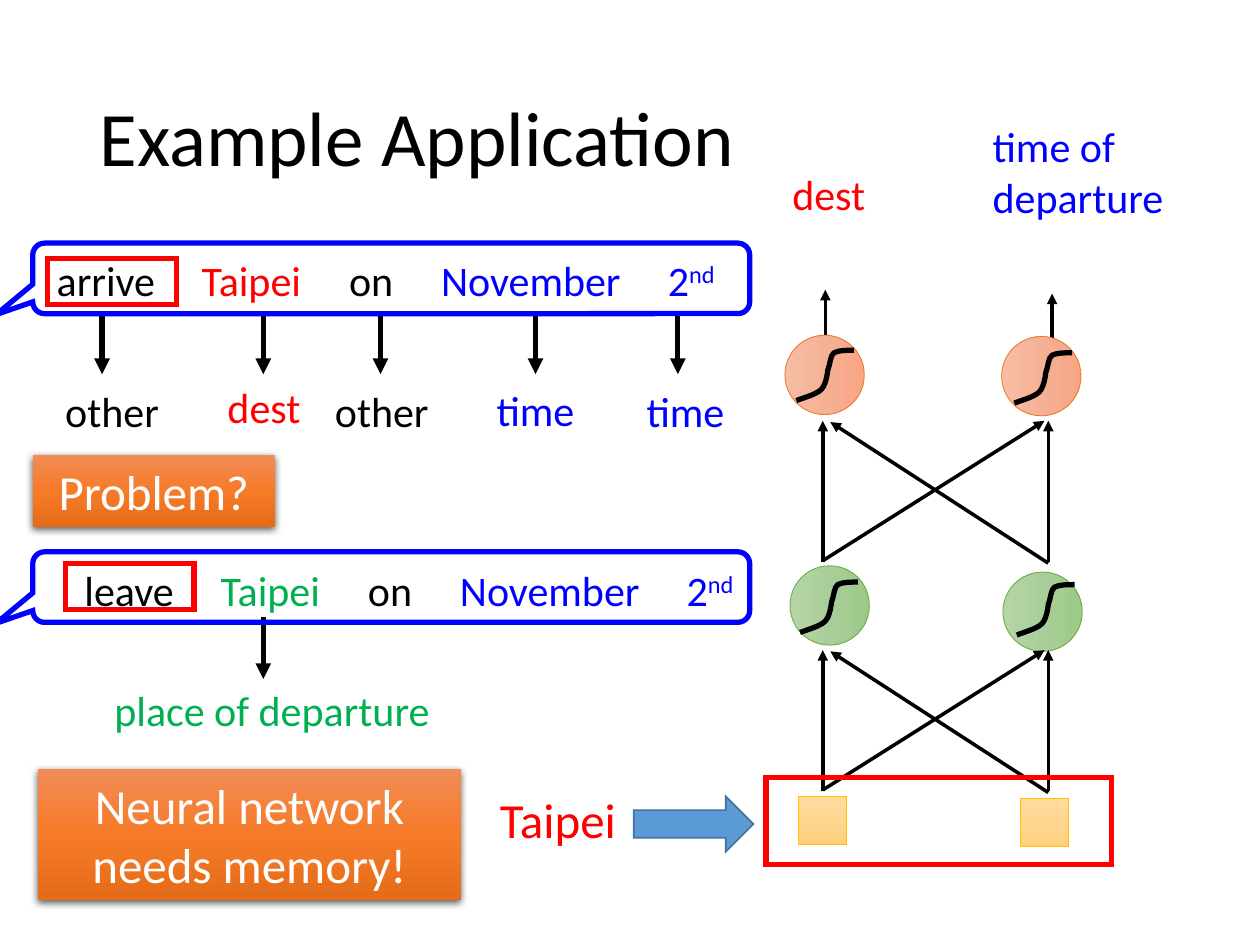
from lxml.etree import SubElement
from pptx import Presentation
from pptx.dml.color import RGBColor
from pptx.enum.shapes import MSO_CONNECTOR, MSO_SHAPE
from pptx.enum.text import MSO_ANCHOR, MSO_AUTO_SIZE, PP_ALIGN
from pptx.oxml.ns import qn
from pptx.util import Inches, Pt

COLORS = {"black": "000000", "white": "FFFFFF", "red": "FF0000", "blue": "0000FF",
          "green": "00B050", "arrow": "5B9BD5", "arrow_edge": "43739E",
          "input_edge": "FFC000", "hidden_edge": "70AD47", "output_edge": "ED7D31"}
GRADIENTS = {"input": ("FFDB9E", "FFD590", "FFD07C"),
             "hidden": ("B5D5A7", "AACE9A", "9CC987"),
             "output": ("F7BDA5", "F5B196", "F8A582"),
             "banner": ("F18C57", "F67B28", "E56C19")}
FONT = "Calibri"
# Control points of the sigmoid, three to a cubic segment, in inches from its corner
SIGMOID_START = (0, 0.4)
SIGMOID = [(0.08, 0.37), (0.16, 0.35), (0.2, 0.31),
           (0.24, 0.27), (0.25, 0.16), (0.25, 0.16),
           (0.27, 0.11), (0.27, 0.04), (0.3, 0.02),
           (0.34, 0), (0.4, 0), (0.46, 0)]


def rgb(name):
    return RGBColor.from_string(COLORS[name])


class SlidePainter:
    def __init__(self, slide):
        self.slide = slide
        self.shapes = slide.shapes

    def style(self, span, color, size):
        span.font.name = FONT
        span.font.size = Pt(size)
        span.font.color.rgb = rgb(color)

    def title(self, text, left, top, width, height):
        box = self.shapes.title
        box.left, box.top = Inches(left), Inches(top)
        box.width, box.height = Inches(width), Inches(height)
        frame = box.text_frame
        frame.text = text
        frame.vertical_anchor = MSO_ANCHOR.MIDDLE
        para = frame.paragraphs[0]
        para.alignment = PP_ALIGN.LEFT
        para.line_spacing = 0.9
        self.style(para.runs[0], "black", 44)

    def text(self, text, left, top, width, height, color, size=24,
             align=PP_ALIGN.LEFT, wrap=True):
        box = self.shapes.add_textbox(Inches(left), Inches(top), Inches(width), Inches(height))
        frame = box.text_frame
        frame.word_wrap = wrap
        frame.auto_size = MSO_AUTO_SIZE.SHAPE_TO_FIT_TEXT
        frame.text = text
        para = frame.paragraphs[0]
        para.alignment = align
        self.style(para.runs[0], color, size)

    def sentence(self, words, stops, left, top, width, height):
        box = self.shapes.add_textbox(Inches(left), Inches(top), Inches(width), Inches(height))
        frame = box.text_frame
        frame.word_wrap = True
        frame.auto_size = MSO_AUTO_SIZE.SHAPE_TO_FIT_TEXT
        frame.margin_left = Inches(0.6)
        para = frame.paragraphs[0]
        tabs = SubElement(para._p.get_or_add_pPr(), qn("a:tabLst"))
        for stop in stops:
            SubElement(tabs, qn("a:tab"), pos=str(Inches(stop)), algn="l")
        for word, color in words:
            span = para.add_run()
            span.text = word
            self.style(span, color, 24)
        span.font._element.set("baseline", "30000")

    def shape(self, kind, left, top, width, height, line=None, weight=3,
              fill=None, gradient=None):
        shape = self.shapes.add_shape(kind, Inches(left), Inches(top),
                                      Inches(width), Inches(height))
        shape.shadow.inherit = False
        if gradient:
            self.gradient(shape, GRADIENTS[gradient])
        elif fill:
            shape.fill.solid()
            shape.fill.fore_color.rgb = rgb(fill)
        else:
            shape.fill.background()
        if line:
            shape.line.color.rgb = rgb(line)
            shape.line.width = Pt(weight)
            SubElement(shape.line._get_or_add_ln(), qn("a:miter"), lim="800000")
        else:
            shape.line.fill.background()
        return shape

    def gradient(self, shape, hexes):
        shape.fill.gradient()
        shape.fill.gradient_angle = 270
        stops = shape._element.spPr.find(qn("a:gradFill")).find(qn("a:gsLst"))
        for stop in list(stops):
            stops.remove(stop)
        for place, color in zip((0, 50000, 100000), hexes):
            stop = SubElement(stops, qn("a:gs"), pos=str(place))
            SubElement(stop, qn("a:srgbClr"), val=color)

    def banner(self, text, left, top, width, height):
        shape = self.shape(MSO_SHAPE.RECTANGLE, left, top, width, height, gradient="banner")
        effects = shape._element.spPr.find(qn("a:effectLst"))
        shadow = SubElement(effects, qn("a:outerShdw"), blurRad=str(Pt(4.5)),
                            dist=str(Pt(1.5)), dir="5400000", rotWithShape="0")
        color = SubElement(shadow, qn("a:srgbClr"), val=COLORS["black"])
        SubElement(color, qn("a:alpha"), val="63000")
        frame = shape.text_frame
        frame.word_wrap = True
        frame.text = text
        frame.paragraphs[0].alignment = PP_ALIGN.CENTER
        self.style(frame.paragraphs[0].runs[0], "white", 28)

    def arrow(self, x1, y1, x2, y2, weight=2):
        line = self.shapes.add_connector(MSO_CONNECTOR.STRAIGHT, Inches(x1), Inches(y1),
                                         Inches(x2), Inches(y2))
        line.line.color.rgb = rgb("black")
        line.line.width = Pt(weight)
        SubElement(line.line._get_or_add_ln(), qn("a:tailEnd"), type="triangle")
        SubElement(line._element.spPr, qn("a:effectLst"))

    def neuron(self, left, top, layer):
        circle = self.shape(MSO_SHAPE.OVAL, left, top, 0.63, 0.63,
                            layer + "_edge", 0.5, gradient=layer)
        circle.rotation = 270

    def sigmoid(self, left, top):
        builder = self.shapes.build_freeform(Inches(left + SIGMOID_START[0]),
                                             Inches(top + SIGMOID_START[1]))
        builder.add_line_segments([(Inches(left + x), Inches(top + y)) for x, y in SIGMOID],
                                  close=False)
        curve = builder.convert_to_shape()
        # Turn every three points into one cubic segment
        corners = list(curve._element.iter(qn("a:lnTo")))
        outline = corners[0].getparent()
        for index in range(0, len(corners), 3):
            cubic = SubElement(outline, qn("a:cubicBezTo"))
            for corner in corners[index:index + 3]:
                cubic.append(corner[0])
                outline.remove(corner)
        curve.shadow.inherit = False
        curve.fill.background()
        curve.line.color.rgb = rgb("black")
        curve.line.width = Pt(3)

    def callout(self, top):
        shape = self.shape(MSO_SHAPE.ROUNDED_RECTANGULAR_CALLOUT, 0.26, top, 5.69, 0.56, "blue")
        for index, value in enumerate((-0.551, 0.512, 0.167)):
            shape.adjustments[index] = value


def main():
    deck = Presentation()
    deck.slide_width, deck.slide_height = Inches(10), Inches(7.5)
    page = SlidePainter(deck.slides.add_slide(deck.slide_layouts[5]))
    page.title("Example Application", 0.69, 0.4, 8.62, 1.45)

    # Network: output arrows, input cells, neurons
    page.arrow(8.35, 3.05, 8.35, 2.33)
    page.arrow(6.55, 3.01, 6.55, 2.3)
    for left, top in ((6.34, 6.32), (8.1, 6.34)):
        page.shape(MSO_SHAPE.RECTANGLE, left, top, 0.38, 0.38, "input_edge", 0.5,
                   gradient="input")
    for left, top, layer in ((6.27, 4.49, "hidden"), (7.96, 4.54, "hidden"),
                             (6.23, 2.66, "output"), (7.95, 2.67, "output")):
        page.neuron(left, top, layer)

    # Full connections between layers
    for top in (5.16, 3.34):
        bottom = top + 1.11
        page.arrow(8.32, bottom + 0.02, 6.59, top + 0.01)
        page.arrow(6.53, bottom, 8.29, top)
        for x in (8.32, 6.53):
            page.arrow(x, bottom + 0.01, x, top)
    for left, top in ((6.32, 2.78), (8.05, 2.8), (8.07, 4.64), (6.35, 4.62)):
        page.sigmoid(left, top)

    # Input word
    page.text("Taipei", 3.87, 6.22, 1.13, 0.57, "red", 28, wrap=False)
    page.shape(MSO_SHAPE.RIGHT_ARROW, 5.03, 6.32, 0.95, 0.44, "arrow_edge", 1, fill="arrow")
    page.shape(MSO_SHAPE.RECTANGLE, 6.08, 6.17, 2.74, 0.69, "red")

    # Sentences, words set on tab stops
    stops = (1.15, 2.32, 3.05, 4.85)
    for verb, city_color, left, top, shift in (("arrive", "red", -0.15, 1.97, 0),
                                               ("leave", "green", 0.07, 4.43, 0.07)):
        words = [(verb + "\t", "black"), ("Taipei\t", city_color), ("on\t", "black"),
                 ("November\t2", "blue"), ("nd", "blue")]
        page.sentence(words, [stop - shift for stop in stops], left, top, 6.11, 0.5)

    # Slot labels
    for x in (0.81, 2.09, 3.02, 4.25, 5.38):
        page.arrow(x, 2.47, x, 2.97, 3)
    for text, left, top, width, color in (("other", 0.38, 3.01, 1.02, "black"),
                                          ("other", 2.52, 3.01, 1.02, "black"),
                                          ("dest", 1.62, 2.98, 0.95, "red"),
                                          ("time", 3.73, 3, 1.04, "blue"),
                                          ("time", 4.92, 3.01, 1.04, "blue")):
        page.text(text, left, top, width, 0.5, color, align=PP_ALIGN.CENTER)
    page.arrow(2.09, 4.9, 2.09, 5.39, 3)
    page.text("place of departure", 0.81, 5.38, 3.2, 0.5, "green")

    # Output labels and banners
    page.banner("Neural network needs memory!", 0.3, 6.1, 3.36, 1.04)
    page.text("dest", 6.19, 1.29, 1.04, 0.5, "red")
    page.text("time of departure", 7.78, 0.91, 2.37, 0.91, "blue")
    page.banner("Problem?", 0.26, 3.61, 1.92, 0.57)

    # Speech callouts and marked verbs
    for top in (1.93, 4.38):
        page.callout(top)
    for left, top in ((0.38, 2.05), (0.52, 4.47)):
        page.shape(MSO_SHAPE.RECTANGLE, left, top, 1.02, 0.37, "red")
    deck.save("out.pptx")


if __name__ == "__main__":
    main()
